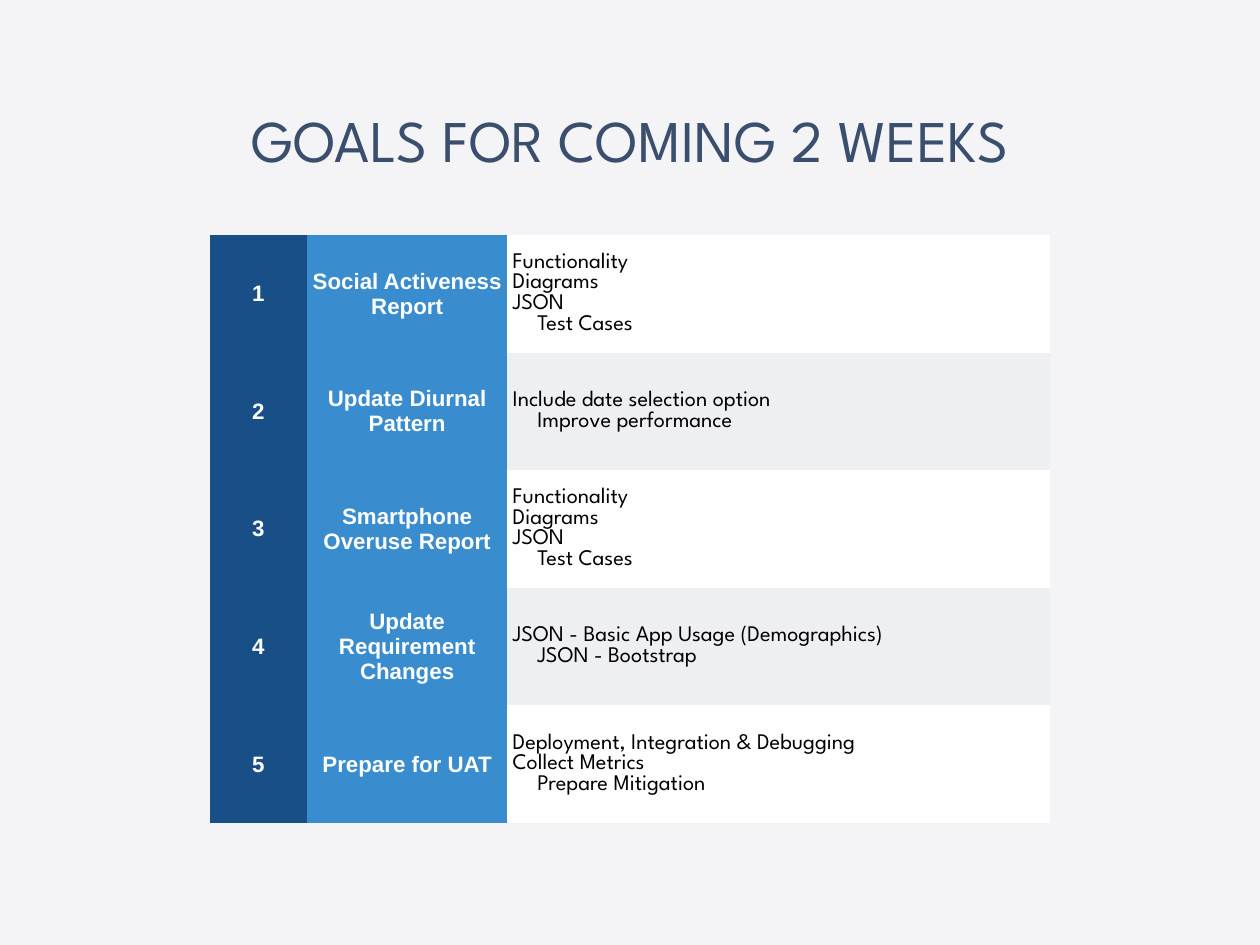
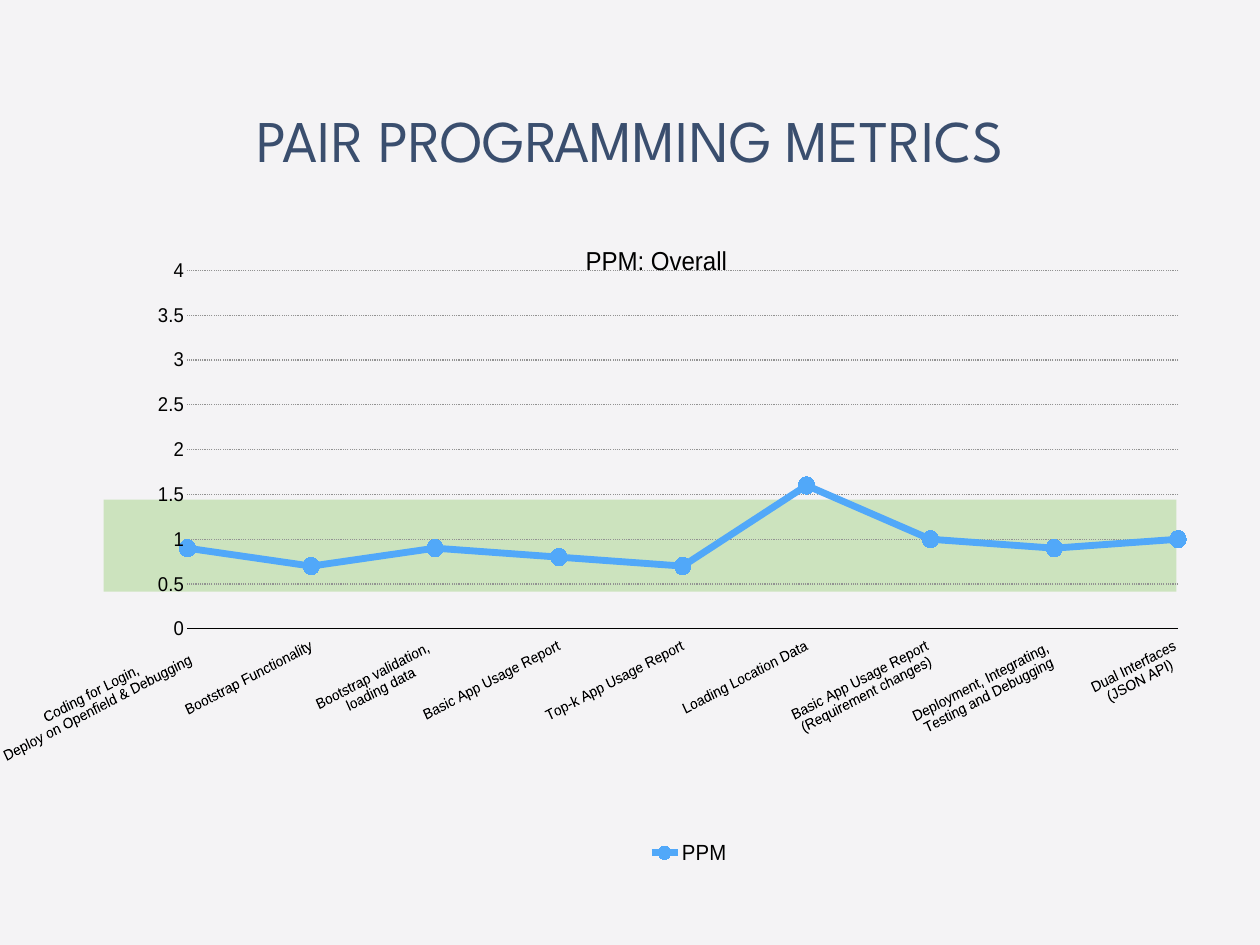
from collections import namedtuple

from lxml.etree import SubElement
from pptx import Presentation
from pptx.chart.data import CategoryChartData
from pptx.dml.color import RGBColor
from pptx.enum.chart import XL_CHART_TYPE, XL_LEGEND_POSITION, XL_MARKER_STYLE, XL_TICK_LABEL_POSITION, XL_TICK_MARK
from pptx.enum.dml import MSO_LINE
from pptx.enum.shapes import MSO_SHAPE
from pptx.enum.text import MSO_ANCHOR, PP_ALIGN
from pptx.oxml.ns import qn
from pptx.util import Pt

BACKGROUND = RGBColor(0xF4, 0xF3, 0xF5)
TITLE_BLUE = RGBColor(0x3A, 0x4E, 0x6E)
NUMBER_BLUE = RGBColor(0x17, 0x4F, 0x86)
GOAL_BLUE = RGBColor(0x39, 0x8C, 0xCE)
ROW_GREY = RGBColor(0xEE, 0xEF, 0xF1)
SERIES_BLUE = RGBColor(0x51, 0xA8, 0xF9)
BAND_GREEN = RGBColor(0x70, 0xBF, 0x41)
GRID_GREY = RGBColor(0x92, 0x92, 0x92)
WHITE = RGBColor(0xFF, 0xFF, 0xFF)
BLACK = RGBColor(0, 0, 0)

HEADING_FONT = "League Spartan"
BODY_FONT = "Arial"
NO_TABLE_STYLE = "{2D5ABB26-0587-4C30-8999-92F81FD0307C}"
INSET = Pt(4.3)

Box = namedtuple("Box", "left top width height")
TITLE_BOX = Box(7, 50, 1010, 125)
TABLE_BOX = Box(170.6, 191, 682.8, 478)
CHART_BOX = Box(-4.3, 180.7, 1003.7, 527)
BAND_BOX = Box(84.2, 406, 872, 74.9)

COLUMN_WIDTHS = (78.8, 163, 441)
REPORT_TASKS = ("Functionality", "Diagrams", "JSON", "Test Cases")
GOALS = (
    ("Social Activeness Report", REPORT_TASKS),
    ("Update Diurnal Pattern", ("Include date selection option", "Improve performance")),
    ("Smartphone Overuse Report", REPORT_TASKS),
    ("Update Requirement Changes", ("JSON - Basic App Usage (Demographics)", "JSON - Bootstrap")),
    ("Prepare for UAT", ("Deployment, Integration & Debugging", "Collect Metrics", "Prepare Mitigation")),
)
PAIR_METRICS = (
    ("Coding for Login,\nDeploy on Openfield & Debugging", 0.9),
    ("Bootstrap Functionality", 0.7),
    ("Bootstrap validation, \nloading data", 0.9),
    ("Basic App Usage Report", 0.8),
    ("Top-k App Usage Report", 0.7),
    ("Loading Location Data", 1.6),
    ("Basic App Usage Report\n(Requirement changes)", 1),
    ("Deployment, Integrating, \nTesting and Debugging", 0.9),
    ("Dual Interfaces\n(JSON API)", 1),
)


def in_points(box):
    return [Pt(length) for length in box]


def style_font(font, size, color=BLACK, name=BODY_FONT, bold=False):
    font.size, font.name, font.bold = Pt(size), name, bold
    font.color.rgb = color


def set_insets(frame):
    frame.margin_left = frame.margin_right = INSET
    frame.margin_top = frame.margin_bottom = INSET


def add_page(deck):
    page = deck.slides.add_slide(deck.slide_layouts[6])
    page.background.fill.solid()
    page.background.fill.fore_color.rgb = BACKGROUND
    return page


def add_title(page, box, text):
    frame = page.shapes.add_textbox(*in_points(box)).text_frame
    frame.word_wrap = True
    frame.vertical_anchor = MSO_ANCHOR.MIDDLE
    set_insets(frame)
    para = frame.paragraphs[0]
    para.text = text
    para.alignment = PP_ALIGN.CENTER
    style_font(para.font, 48, TITLE_BLUE, HEADING_FONT)


def fill_cell(cell, color):
    cell.fill.solid()
    cell.fill.fore_color.rgb = color
    cell.vertical_anchor = MSO_ANCHOR.MIDDLE
    set_insets(cell)


def write_heading(cell, text):
    para = cell.text_frame.paragraphs[0]
    para.text = text
    para.alignment = PP_ALIGN.CENTER
    style_font(para.font, 18.1, WHITE, bold=True)


def write_tasks(cell, tasks):
    """Write one line per task, with the last one indented."""
    frame = cell.text_frame
    frame.text = "\n".join(tasks)
    for para in frame.paragraphs:
        style_font(para.font, 18.1, name=HEADING_FONT)
    frame.paragraphs[-1]._p.get_or_add_pPr().set("marL", str(Pt(20)))


def add_goal_table(page, box):
    frame = page.shapes.add_table(len(GOALS), len(COLUMN_WIDTHS), *in_points(box))
    table = frame.table
    table.first_row = table.horz_banding = False
    next(frame.element.iter(qn("a:tableStyleId"))).text = NO_TABLE_STYLE
    for column, width in zip(table.columns, COLUMN_WIDTHS):
        column.width = Pt(width)
    for index, (goal, tasks) in enumerate(GOALS):
        table.rows[index].height = Pt(box.height / len(GOALS))
        number_cell, goal_cell, task_cell = table.rows[index].cells
        fill_cell(number_cell, NUMBER_BLUE)
        fill_cell(goal_cell, GOAL_BLUE)
        fill_cell(task_cell, ROW_GREY if index % 2 else WHITE)
        write_heading(number_cell, str(index + 1))
        write_heading(goal_cell, goal)
        write_tasks(task_cell, tasks)


def add_target_band(page, box):
    band = page.shapes.add_shape(MSO_SHAPE.RECTANGLE, *in_points(box))
    band.shadow.inherit = False
    band.line.fill.background()
    band.fill.solid()
    band.fill.fore_color.rgb = BAND_GREEN
    color = next(band.element.spPr.iter(qn("a:srgbClr")))
    SubElement(color, qn("a:alpha"), val="30000")


def place_part(parent, index, **measures):
    """Give a chart part a manual layout, in fractions of the chart."""
    for old in parent.findall(qn("c:layout")):
        parent.remove(old)
    layout = SubElement(parent, qn("c:layout"))
    parent.insert(index, layout)
    manual = SubElement(layout, qn("c:manualLayout"))
    if "w" in measures:
        SubElement(manual, qn("c:layoutTarget"), val="inner")
    for mode in ("xMode", "yMode"):
        SubElement(manual, qn(f"c:{mode}"), val="edge")
    for name, value in measures.items():
        SubElement(manual, qn(f"c:{name}"), val=str(value))


def start_line_on_axis(value_axis):
    """Put the first and last points on the ends of the category axis."""
    axis = value_axis._element
    for old in axis.findall(qn("c:crossBetween")):
        axis.remove(old)
    crossing = SubElement(axis, qn("c:crossBetween"), val="midCat")
    axis.find(qn("c:majorUnit")).addprevious(crossing)


def style_axes(chart):
    categories, values = chart.category_axis, chart.value_axis
    for axis, size in ((categories, 12.2), (values, 16.2)):
        axis.major_tick_mark = axis.minor_tick_mark = XL_TICK_MARK.NONE
        style_font(axis.tick_labels.font, size)
    categories.tick_label_position = XL_TICK_LABEL_POSITION.LOW
    categories.format.line.color.rgb = BLACK
    categories.format.line.width = Pt(1)
    label_body = next(categories._element.iter(qn("a:bodyPr")))
    label_body.set("rot", str(-26 * 60000))
    label_body.set("vert", "horz")

    values.minimum_scale, values.maximum_scale, values.major_unit = 0, 4, 0.5
    values.tick_labels.number_format = "General"
    values.tick_labels.number_format_is_linked = False
    values.format.line.fill.background()
    grid = values.major_gridlines.format.line
    grid.color.rgb, grid.width, grid.dash_style = GRID_GREY, Pt(1), MSO_LINE.ROUND_DOT
    start_line_on_axis(values)


def style_series(series):
    series.smooth = False
    series.format.line.color.rgb = SERIES_BLUE
    series.format.line.width = Pt(6)
    marker = series.marker
    marker.style, marker.size = XL_MARKER_STYLE.CIRCLE, 14
    marker.format.fill.solid()
    marker.format.fill.fore_color.rgb = SERIES_BLUE
    marker.format.line.color.rgb = SERIES_BLUE


def add_metrics_chart(page, box):
    names, values = zip(*PAIR_METRICS)
    chart_data = CategoryChartData()
    chart_data.categories = names
    chart_data.add_series("PPM", values)
    chart = page.shapes.add_chart(XL_CHART_TYPE.LINE_MARKERS, *in_points(box), chart_data).chart
    style_font(chart.font, 10, TITLE_BLUE, HEADING_FONT)
    chart.has_title = True
    para = chart.chart_title.text_frame.paragraphs[0]
    para.text = "PPM: Overall"
    style_font(para.font, 21.1)
    chart.has_legend = True
    chart.legend.position = XL_LEGEND_POSITION.BOTTOM
    chart.legend.include_in_layout = True
    style_font(chart.legend.font, 17.8)
    style_axes(chart)
    plot = chart.plots[0]
    plot.vary_by_categories = False
    style_series(plot.series[0])
    place_part(next(chart.element.iter(qn("c:plotArea"))), 0, x=0.091, y=0.074, w=0.864, h=0.553)
    place_part(next(chart.element.iter(qn("c:legend"))), 1, x=0.49, y=0.95)


def build_goals_page(deck):
    page = add_page(deck)
    add_title(page, TITLE_BOX, "GOALS FOR COMING 2 WEEKS")
    add_goal_table(page, TABLE_BOX)


def build_metrics_page(deck):
    page = add_page(deck)
    add_target_band(page, BAND_BOX)
    add_title(page, TITLE_BOX, "PAIR PROGRAMMING METRICS")
    add_metrics_chart(page, CHART_BOX)


def main():
    deck = Presentation()
    deck.slide_width, deck.slide_height = Pt(1024), Pt(768)
    build_goals_page(deck)
    build_metrics_page(deck)
    deck.save("out.pptx")


if __name__ == "__main__":
    main()
